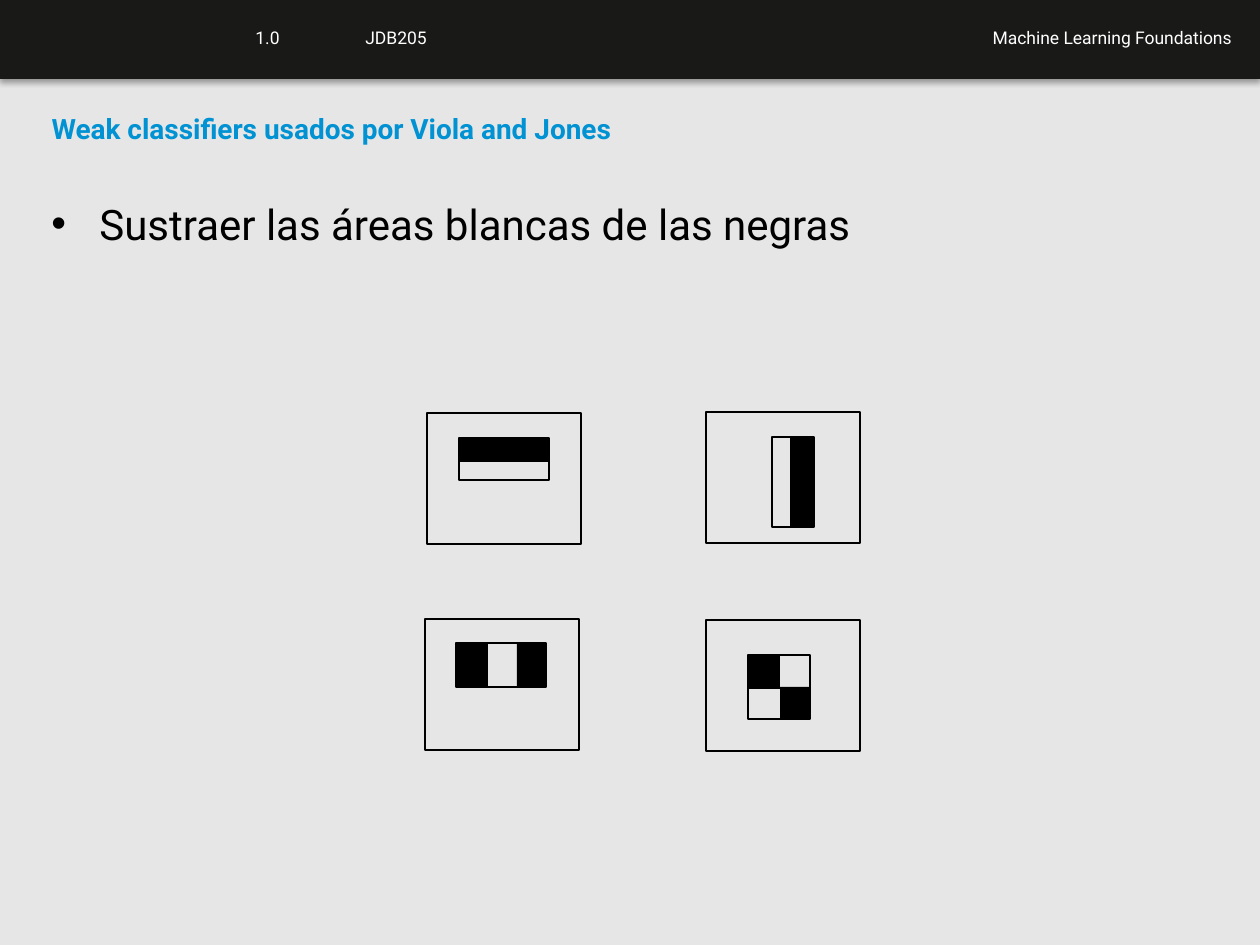
from dataclasses import dataclass

from lxml import etree
from pptx import Presentation
from pptx.dml.color import RGBColor
from pptx.enum.shapes import MSO_SHAPE
from pptx.enum.text import MSO_ANCHOR, MSO_AUTO_SIZE, PP_ALIGN
from pptx.oxml.ns import qn
from pptx.shapes.autoshape import Shape
from pptx.slide import Slide
from pptx.text.text import TextFrame
from pptx.util import Emu, Pt

RECTANGLE = MSO_SHAPE.RECTANGLE
TOP = MSO_ANCHOR.TOP
NO_AUTOFIT = MSO_AUTO_SIZE.NONE
LEFT, RIGHT = PP_ALIGN.LEFT, PP_ALIGN.RIGHT

BACKGROUND = RGBColor(0xE6, 0xE6, 0xE6)
HEADER = RGBColor(0x19, 0x19, 0x18)
WHITE = RGBColor(0xFF, 0xFF, 0xFF)
BLACK = RGBColor(0x00, 0x00, 0x00)
BLUE = RGBColor(0x00, 0x92, 0xD2)

PX_PER_INCH = 126
FRAME_SIZE = (154, 131)
BULLET_INDENT = 48


@dataclass(frozen=True)
class Box:
    left: int
    top: int
    width: int
    height: int

    def moved(self, dx: int, dy: int) -> "Box":
        return Box(self.left + dx, self.top + dy, self.width, self.height)


@dataclass(frozen=True)
class HaarFeature:
    left: int
    top: int
    outline: Box
    dark_areas: tuple[Box, ...]
    rotation: int = 0


@dataclass(frozen=True)
class HeaderLabel:
    wording: str
    box: Box
    alignment: PP_ALIGN = LEFT


HEADER_LABELS = (
    HeaderLabel("Machine Learning Foundations", Box(669, 21, 575, 34), RIGHT),
    HeaderLabel("1.0", Box(243, 21, 110, 34)),
    HeaderLabel("JDB205", Box(353, 21, 208, 34)),
)

FEATURES = (
    HaarFeature(427, 413, Box(32, 25, 90, 42), (Box(32, 25, 90, 24),)),
    HaarFeature(425, 619, Box(31, 24, 90, 44),
                (Box(32, 24, 31, 44), Box(92, 24, 29, 44))),
    HaarFeature(706, 412, Box(42, 49, 90, 42), (Box(51, 58, 90, 24),), 90),
    HaarFeature(706, 620, Box(42, 35, 62, 64),
                (Box(42, 35, 32, 34), Box(74, 67, 29, 32))),
)


def px(length: int) -> Emu:
    return Emu(round(length * 914400 / PX_PER_INCH))


def emu_box(box: Box) -> tuple[Emu, ...]:
    return px(box.left), px(box.top), px(box.width), px(box.height)


def write(frame: TextFrame, wording: str, size: int, color: RGBColor,
          alignment: PP_ALIGN = LEFT, bold: bool = False) -> None:
    frame_format = {"word_wrap": True, "auto_size": NO_AUTOFIT, "vertical_anchor": TOP}
    for name, value in frame_format.items():
        setattr(frame, name, value)
    paragraph = frame.paragraphs[0]
    paragraph.alignment = alignment
    run = paragraph.add_run()
    run.text = wording
    for name, value in {"name": "Roboto", "size": Pt(size), "bold": bold}.items():
        setattr(run.font, name, value)
    run.font.color.rgb = color


def add_filled(slide: Slide, box: Box, color: RGBColor) -> Shape:
    area = slide.shapes.add_shape(RECTANGLE, *emu_box(box))
    area.shadow.inherit = False
    area.fill.solid()
    area.fill.fore_color.rgb = color
    area.line.fill.background()
    return area


def add_outline(slide: Slide, box: Box) -> Shape:
    outline = slide.shapes.add_shape(RECTANGLE, *emu_box(box))
    outline.shadow.inherit = False
    outline.fill.background()
    outline.line.color.rgb = BLACK
    outline.line.width = Pt(0.75)
    return outline


def add_header(slide: Slide) -> None:
    band = add_filled(slide, Box(0, 0, 1260, 79), HEADER)
    effects = band._element.spPr.find(qn("a:effectLst"))
    shadow = etree.SubElement(effects, qn("a:outerShdw"), blurRad="40000",
                              dist="23000", dir="5400000", rotWithShape="0")
    shade = etree.SubElement(shadow, qn("a:srgbClr"), val=str(BLACK))
    etree.SubElement(shade, qn("a:alpha"), val="35000")
    for label in HEADER_LABELS:
        caption = slide.shapes.add_textbox(*emu_box(label.box))
        write(caption.text_frame, label.wording, 10, WHITE, label.alignment)


def add_title(slide: Slide, wording: str) -> None:
    title = slide.shapes.title
    placement = zip(("left", "top", "width", "height"), emu_box(Box(39, 105, 1191, 146)))
    for name, value in placement:
        setattr(title, name, value)
    write(title.text_frame, wording, 16, BLUE, bold=True)


def add_bullet(slide: Slide, wording: str) -> None:
    body = slide.shapes.add_textbox(*emu_box(Box(39, 192, 1191, 730)))
    properties = body.text_frame.paragraphs[0]._p.get_or_add_pPr()
    properties.set("marL", str(px(BULLET_INDENT)))
    properties.set("indent", str(-px(BULLET_INDENT)))
    etree.SubElement(properties, qn("a:buFont"), typeface="Arial")
    etree.SubElement(properties, qn("a:buChar"), char="•")
    write(body.text_frame, wording, 24, BLACK)


def add_feature(slide: Slide, feature: HaarFeature) -> None:
    origin = feature.left, feature.top
    for dark_area in feature.dark_areas:
        add_filled(slide, dark_area.moved(*origin), BLACK).rotation = feature.rotation
    add_outline(slide, feature.outline.moved(*origin)).rotation = feature.rotation
    add_outline(slide, Box(*origin, *FRAME_SIZE))


def main() -> None:
    presentation = Presentation()
    presentation.slide_width = px(1260)
    presentation.slide_height = px(945)
    slide = presentation.slides.add_slide(presentation.slide_layouts.get_by_name("Title Only"))
    slide.background.fill.solid()
    slide.background.fill.fore_color.rgb = BACKGROUND
    add_header(slide)
    add_title(slide, "Weak classifiers usados por Viola and Jones")
    add_bullet(slide, "Sustraer las áreas blancas de las negras")
    for feature in FEATURES:
        add_feature(slide, feature)
    presentation.save("out.pptx")


if __name__ == "__main__":
    main()
